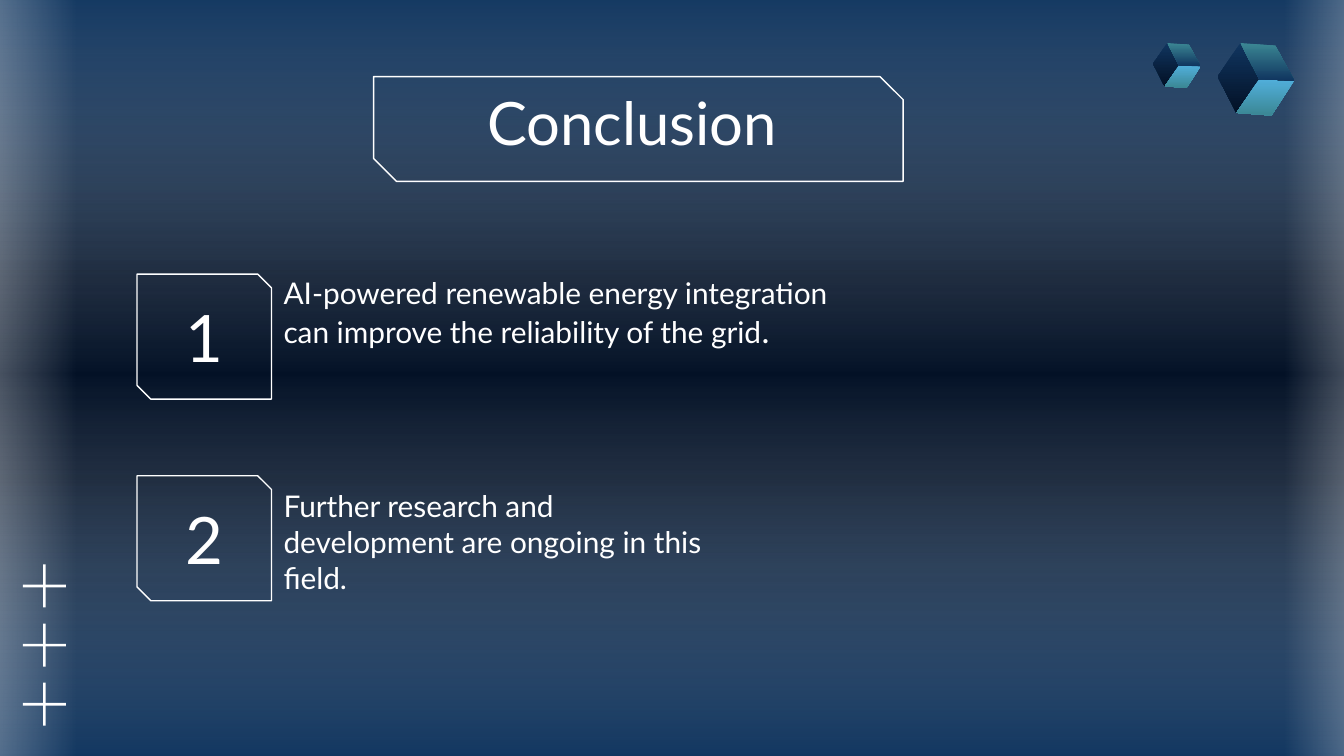
from dataclasses import dataclass
from typing import Any, NamedTuple

from lxml.etree import SubElement
from pptx import Presentation
from pptx.dml.color import RGBColor
from pptx.enum.shapes import MSO_SHAPE
from pptx.enum.text import MSO_ANCHOR, MSO_AUTO_SIZE, PP_ALIGN
from pptx.oxml.ns import qn
from pptx.util import Inches, Pt

WHITE = RGBColor(0xFF, 0xFF, 0xFF)
BLUE = RGBColor(0x10, 0x35, 0x5F)
NIGHT = RGBColor(0x03, 0x11, 0x26)
SKY = RGBColor(0x51, 0xAF, 0xDB)
TEAL = RGBColor(0x3B, 0x87, 0x94)

FONT = "Lato"
FRAME_FORMAT = {
    "margin_left": Inches(0.1),
    "margin_top": Inches(0.1),
    "margin_right": Inches(0.1),
    "margin_bottom": Inches(0.1),
    "word_wrap": True,
    "auto_size": MSO_AUTO_SIZE.NONE,
}


class Box(NamedTuple):
    left: float
    top: float
    width: float
    height: float


class Stop(NamedTuple):
    position: int
    color: RGBColor
    opacity: int = 100


class Span(NamedTuple):
    text: str
    size: int


@dataclass
class Glow:
    box: Box
    rotation: int
    stops: list[Stop]


@dataclass
class Point:
    number: str
    badge: Box
    body: Box
    spans: list[Span]


@dataclass
class Face:
    corners: list[tuple[float, float]]
    stops: list[Stop]


@dataclass
class Cube:
    left: float
    top: float
    scale: float


SIDE_STOPS = [Stop(0, WHITE, 47), Stop(100, WHITE, 0)]
GLOWS = [
    Glow(Box(2.2, -2.33, 5.81, 10.21), 270,
         [Stop(0, BLUE, 59), Stop(50, WHITE, 0), Stop(100, BLUE, 59)]),
    Glow(Box(-0.41, -0.09, 0.98, 5.8), 180, SIDE_STOPS),
    Glow(Box(9.56, -0.13, 0.85, 5.8), 0, SIDE_STOPS),
]
POINTS = [
    Point("1", Box(1.02, 2.04, 1, 0.93), Box(2.01, 1.94, 4.35, 1.72),
          [Span("AI-powered renewable energy integration can improve "
                "the reliability of the grid", 16), Span(".", 18)]),
    Point("2", Box(1.02, 3.54, 1, 0.93), Box(2.01, 3.53, 3.33, 1.86),
          [Span("Further research and development are ongoing in this field.", 16)]),
]
CENTER = (0.31, 0.27)
UPPER_LEFT, LEFT, LOWER_LEFT = (0.17, 0), (0, 0.25), (0.14, 0.52)
UPPER_RIGHT, RIGHT, LOWER_RIGHT = (0.43, 0.02), (0.57, 0.28), (0.4, 0.54)
FACES = [
    Face([UPPER_LEFT, LEFT, LOWER_LEFT, CENTER], [Stop(0, BLUE), Stop(100, NIGHT)]),
    Face([CENTER, RIGHT, LOWER_RIGHT, LOWER_LEFT], [Stop(0, SKY), Stop(100, TEAL)]),
    Face([UPPER_LEFT, UPPER_RIGHT, RIGHT, CENTER], [Stop(0, TEAL), Stop(100, BLUE)]),
]
CUBES = [Cube(9.06, 0.32, 1), Cube(8.58, 0.32, 0.62)]

PLUS_COUNT = 3
PLUS_PITCH = 0.44
PLUS_LEFT, PLUS_TOP = 0.17, 4.2
PLUS_SIZE, PLUS_STROKE = 0.32, 0.02


def apply_gradient(fill: Any, element: Any, stops: list[Stop], angle: int) -> None:
    fill.gradient()
    fill.gradient_angle = angle
    stop_list = element.find(".//" + qn("a:gsLst"))
    for old_stop in list(stop_list):
        stop_list.remove(old_stop)
    for stop in stops:
        gs = SubElement(stop_list, qn("a:gs"), pos=str(stop.position * 1000))
        color = SubElement(gs, qn("a:srgbClr"), val=str(stop.color))
        if stop.opacity < 100:
            SubElement(color, qn("a:alpha"), val=str(stop.opacity * 1000))


def place(shapes: Any, preset: MSO_SHAPE, box: Box) -> Any:
    shape = shapes.add_shape(preset, *map(Inches, box))
    shape.shadow.inherit = False
    shape.line.fill.background()
    return shape


def write(shape: Any, spans: list[Span], alignment: PP_ALIGN, anchor: MSO_ANCHOR) -> None:
    frame = shape.text_frame
    for name, value in {**FRAME_FORMAT, "vertical_anchor": anchor}.items():
        setattr(frame, name, value)
    paragraph = frame.paragraphs[0]
    properties = paragraph._p.get_or_add_pPr()
    properties.set("marL", "0")
    properties.set("indent", "0")
    SubElement(properties, qn("a:buNone"))
    paragraph.alignment = alignment
    paragraph.space_before = Pt(0)
    for span in spans:
        run = paragraph.add_run()
        run.text = span.text
        run.font.color.rgb = WHITE
        for name, value in {"name": FONT, "size": Pt(span.size)}.items():
            setattr(run.font, name, value)


def fill_placeholder(slide: Any, placeholder: Any, box: Box, spans: list[Span],
                     alignment: PP_ALIGN, anchor: MSO_ANCHOR) -> None:
    for name, value in box._asdict().items():
        setattr(placeholder, name, Inches(value))
    write(placeholder, spans, alignment, anchor)
    slide.shapes._spTree.append(placeholder._element)


def draw_glow(slide: Any, glow: Glow) -> None:
    shape = place(slide.shapes, MSO_SHAPE.RECTANGLE, glow.box)
    shape.rotation = glow.rotation
    apply_gradient(shape.fill, shape._element, glow.stops, 180)


def draw_frame(slide: Any, box: Box, snip: float) -> Any:
    frame = place(slide.shapes, MSO_SHAPE.SNIP_2_DIAG_RECTANGLE, box)
    frame.adjustments[0] = 0
    frame.adjustments[1] = snip
    frame.fill.background()
    frame.line.color.rgb = WHITE
    frame.line.width = Pt(0.75)
    return frame


def draw_plus(shapes: Any, left: float, top: float) -> None:
    inset = (PLUS_SIZE - PLUS_STROKE) / 2
    for bar_box in (Box(left, top + inset, PLUS_SIZE, PLUS_STROKE),
                    Box(left + inset, top, PLUS_STROKE, PLUS_SIZE)):
        bar = place(shapes, MSO_SHAPE.RECTANGLE, bar_box)
        bar.fill.solid()
        bar.fill.fore_color.rgb = WHITE


def draw_cube(slide: Any, cube: Cube) -> None:
    group = slide.shapes.add_group_shape()
    for face in FACES:
        corners = [(Inches(cube.left + x * cube.scale), Inches(cube.top + y * cube.scale))
                   for x, y in face.corners]
        builder = group.shapes.build_freeform(*corners[0])
        builder.add_line_segments(corners[1:], close=True)
        shape = builder.convert_to_shape()
        shape.shadow.inherit = False
        shape.line.fill.background()
        apply_gradient(shape.fill, shape._element, face.stops, 270)


def main() -> None:
    presentation = Presentation()
    presentation.slide_width = Inches(10)
    presentation.slide_height = Inches(10 * 9 / 16)
    slide = presentation.slides.add_slide(presentation.slide_layouts[3])
    title, *bodies = slide.placeholders
    apply_gradient(slide.background.fill, slide._element,
                   [Stop(0, BLUE), Stop(37, NIGHT), Stop(63, NIGHT), Stop(100, BLUE)], 270)
    for glow in GLOWS:
        draw_glow(slide, glow)

    draw_frame(slide, Box(2.78, 0.57, 3.94, 0.78), 0.22)
    fill_placeholder(slide, title, Box(0.49, 0.59, 8.43, 0.63), [Span("Conclusion", 32)],
                     PP_ALIGN.CENTER, MSO_ANCHOR.MIDDLE)
    for point, body in zip(POINTS, bodies):
        fill_placeholder(slide, body, point.body, point.spans, PP_ALIGN.LEFT, MSO_ANCHOR.TOP)
        badge = draw_frame(slide, point.badge, 0.11)
        write(badge, [Span(point.number, 35)], PP_ALIGN.CENTER, MSO_ANCHOR.MIDDLE)

    pluses = slide.shapes.add_group_shape()
    for row in range(PLUS_COUNT):
        draw_plus(pluses.shapes, PLUS_LEFT, PLUS_TOP + row * PLUS_PITCH)
    for cube in CUBES:
        draw_cube(slide, cube)
    presentation.save("out.pptx")


if __name__ == "__main__":
    main()
